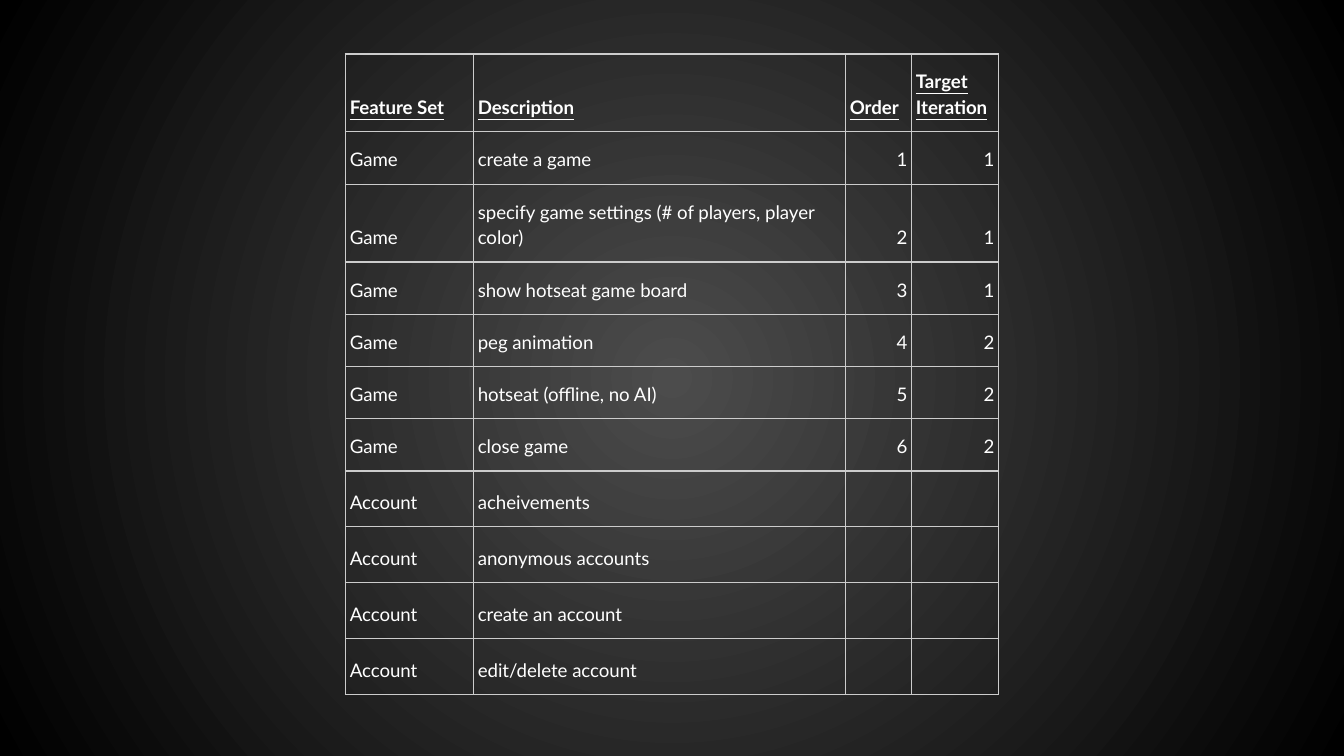
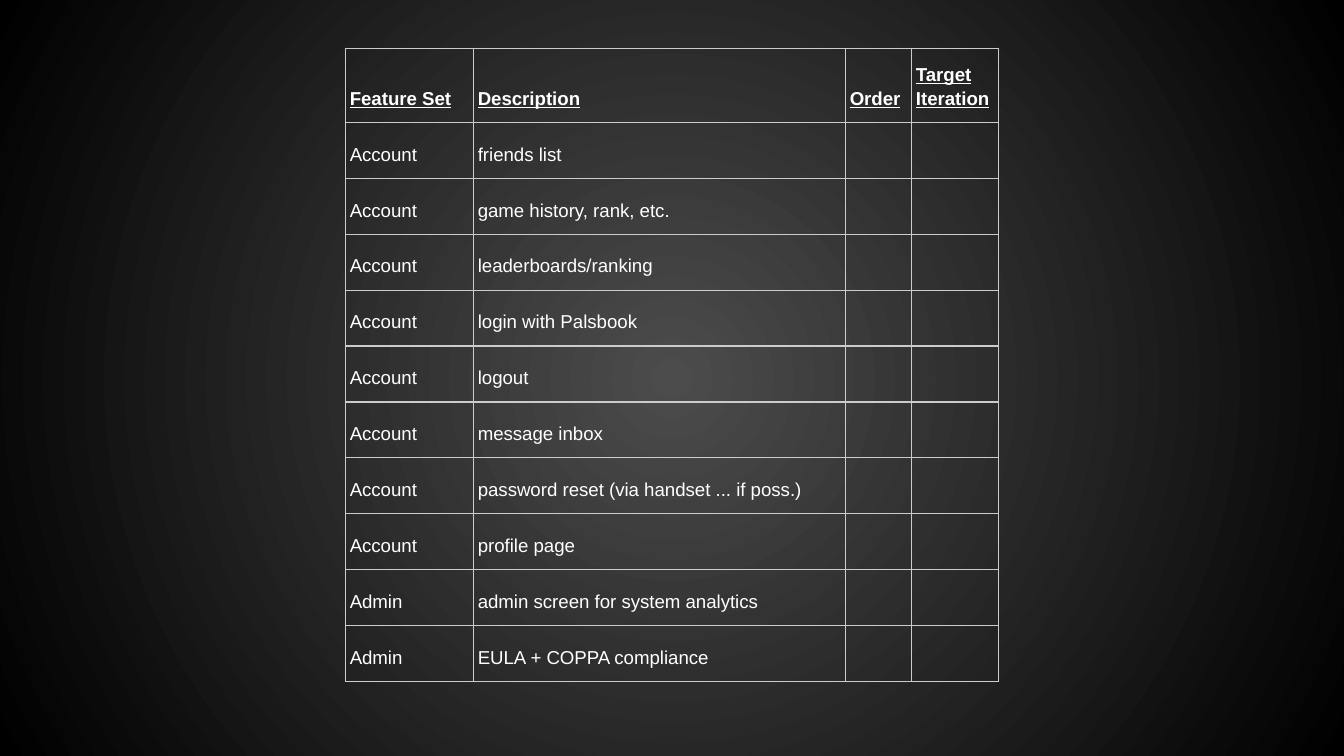
from dataclasses import dataclass

from lxml import etree
from pptx import Presentation
from pptx.dml.color import RGBColor
from pptx.enum.text import MSO_ANCHOR, PP_ALIGN
from pptx.oxml.ns import qn
from pptx.util import Cm, Pt

BOTTOM = MSO_ANCHOR.BOTTOM
LEFT = PP_ALIGN.LEFT
RIGHT = PP_ALIGN.RIGHT

COLOURS = {"centre": "4C4C4C", "edge": "000000", "text": "FFFFFF", "border": "CCCCCC"}
BORDER_WIDTH = Pt(0.75)
BORDER_SIDES = ("a:lnL", "a:lnR", "a:lnT", "a:lnB")

TABLE_LEFT = Cm(6.53)
FRAME_SIZE = Cm(8.33)
COLUMN_WIDTHS = (Cm(2.42), Cm(7.03), Cm(1.25), Cm(1.64))
ROW_HEIGHT = Cm(0.46)
TALL_ROW_HEIGHT = Cm(0.89)

HEADINGS = ("Feature Set", "Description", "Order", "Target Iteration")
CELL_FORMAT = {
    "margin_left": Cm(0.08),
    "margin_right": Cm(0.08),
    "margin_top": Cm(0.25),
    "margin_bottom": Cm(0.25),
    "vertical_anchor": BOTTOM,
}
EMPTY_CELL_FORMAT = {**CELL_FORMAT, "margin_left": Cm(0.25), "margin_right": Cm(0.25)}
EMPTY_CELL_FONT = "Arial"
EMPTY_CELL_SIZE = Pt(14)
BODY_FONT = {"size": Pt(10), "bold": False, "underline": False}
HEADING_FONT = {"size": Pt(10), "bold": True, "underline": True}


@dataclass(frozen=True)
class Feature:
    group: str
    description: str
    order: str = ""
    iteration: str = ""
    tall: bool = False

    def texts(self) -> tuple[str, ...]:
        return self.group, self.description, self.order, self.iteration


@dataclass(frozen=True)
class FeatureTable:
    top: int
    font: str
    features: tuple[Feature, ...]


FEATURE_TABLES = (
    FeatureTable(Cm(1.02), "Lato", (
        Feature("Game", "create a game", "1", "1"),
        Feature("Game", "specify game settings (# of players, player color)", "2", "1", True),
        Feature("Game", "show hotseat game board", "3", "1"),
        Feature("Game", "peg animation", "4", "2"),
        Feature("Game", "hotseat (offline, no AI)", "5", "2"),
        Feature("Game", "close game", "6", "2"),
        Feature("Account", "acheivements"),
        Feature("Account", "anonymous accounts"),
        Feature("Account", "create an account"),
        Feature("Account", "edit/delete account"),
    )),
    FeatureTable(Cm(0.91), "Arial", (
        Feature("Account", "friends list"),
        Feature("Account", "game history, rank, etc."),
        Feature("Account", "leaderboards/ranking"),
        Feature("Account", "login with Palsbook"),
        Feature("Account", "logout"),
        Feature("Account", "message inbox"),
        Feature("Account", "password reset (via handset ... if poss.)"),
        Feature("Account", "profile page"),
        Feature("Admin", "admin screen for system analytics"),
        Feature("Admin", "EULA + COPPA compliance"),
    )),
)


def apply_format(target, values: dict) -> None:
    for name, value in values.items():
        setattr(target, name, value)


def paint_background(master) -> None:
    fill = master.background.fill
    fill.gradient()
    for stop, position, colour in zip(fill.gradient_stops, (0, 1), ("centre", "edge")):
        stop.position = position
        stop.color.rgb = RGBColor.from_string(COLOURS[colour])
    gradient = master.element.find(".//" + qn("p:bgPr")).find(qn("a:gradFill"))
    gradient.remove(gradient.find(qn("a:lin")))
    circle = etree.SubElement(gradient, qn("a:path"), path="circle")
    etree.SubElement(circle, qn("a:fillToRect"), l="50000", t="50000", r="50000", b="50000")


def draw_borders(cell) -> None:
    properties = cell._tc.get_or_add_tcPr()
    for index, side in enumerate(BORDER_SIDES):
        line = etree.Element(qn(side), w=str(int(BORDER_WIDTH)))
        solid = etree.SubElement(line, qn("a:solidFill"))
        etree.SubElement(solid, qn("a:srgbClr"), val=COLOURS["border"])
        properties.insert(index, line)


def fill_cell(cell, text: str, font: str, heading: bool) -> None:
    apply_format(cell, CELL_FORMAT if text else EMPTY_CELL_FORMAT)
    cell.fill.background()
    draw_borders(cell)
    para = cell.text_frame.paragraphs[0]
    if not text:
        end = etree.SubElement(para._p, qn("a:endParaRPr"), sz=str(int(EMPTY_CELL_SIZE.pt * 100)))
        etree.SubElement(end, qn("a:latin"), typeface=EMPTY_CELL_FONT)
        return
    para.line_spacing = 1.15
    para.alignment = RIGHT if text.isdigit() else LEFT
    span = para.add_run()
    span.text = text
    apply_format(span.font, HEADING_FONT if heading else BODY_FONT)
    span.font.name = font
    span.font.color.rgb = RGBColor.from_string(COLOURS["text"])


def add_feature_table(page, content: FeatureTable) -> None:
    rows = (HEADINGS, *(feature.texts() for feature in content.features))
    tall_rows = (True, *(feature.tall for feature in content.features))
    frame = page.shapes.add_table(
        len(rows), len(HEADINGS), TABLE_LEFT, content.top, FRAME_SIZE, FRAME_SIZE
    )
    table = frame.table
    apply_format(table, {"first_row": False, "horz_banding": False})
    for column, width in zip(table.columns, COLUMN_WIDTHS):
        column.width = width
    for row, texts, tall in zip(table.rows, rows, tall_rows):
        row.height = TALL_ROW_HEIGHT if tall else ROW_HEIGHT
        for cell, text in zip(row.cells, texts):
            fill_cell(cell, text, content.font, texts is HEADINGS)
    apply_format(frame, {"width": FRAME_SIZE, "height": FRAME_SIZE})


def main() -> None:
    deck = Presentation()
    apply_format(deck, {"slide_width": Cm(25.4), "slide_height": Cm(14.29)})
    paint_background(deck.slide_master)
    blank = deck.slide_layouts.get_by_name("Blank")
    for content in FEATURE_TABLES:
        add_feature_table(deck.slides.add_slide(blank), content)
    deck.save("out.pptx")


if __name__ == "__main__":
    main()
